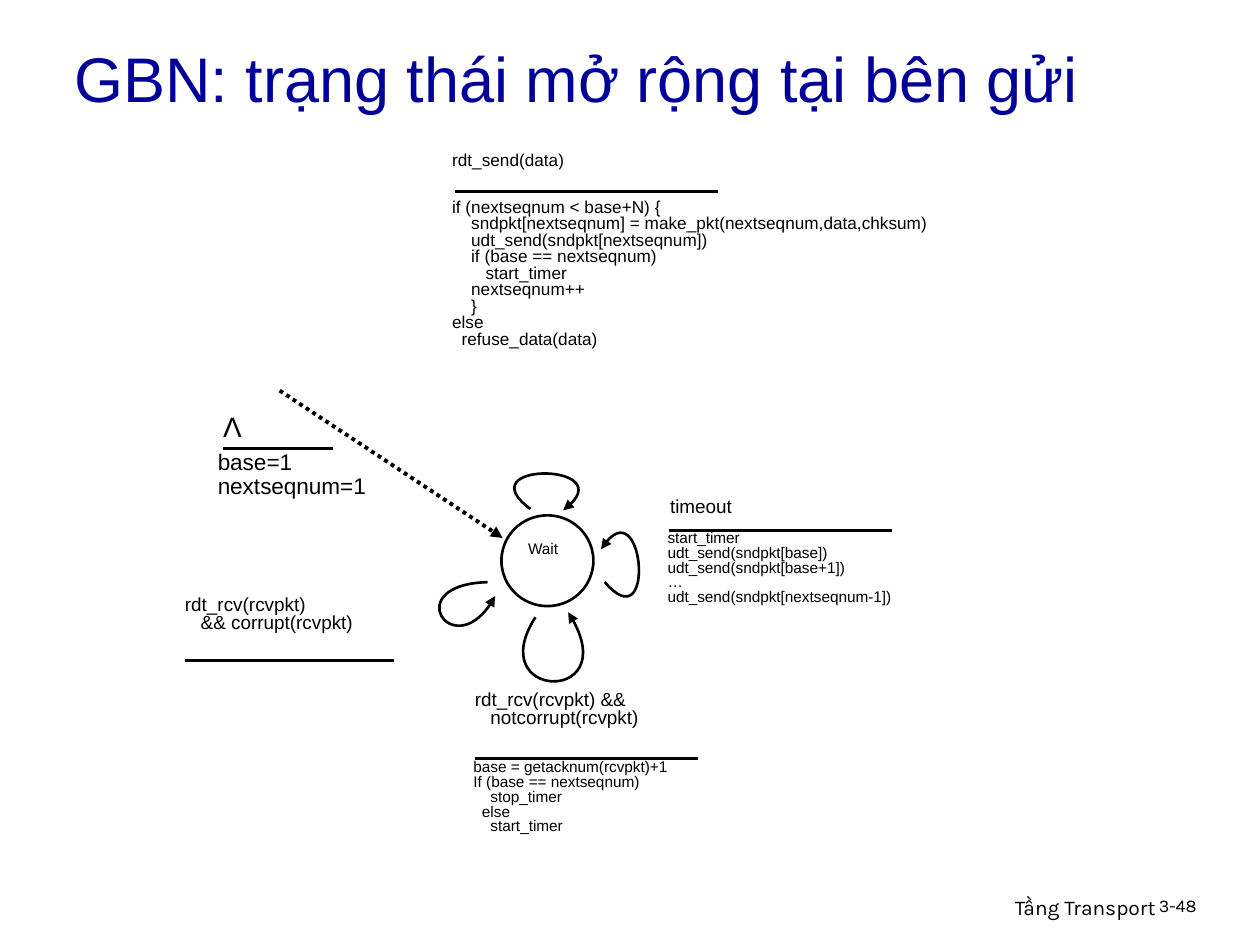
from lxml.etree import SubElement
from pptx import Presentation
from pptx.dml.color import RGBColor
from pptx.enum.dml import MSO_LINE
from pptx.enum.shapes import MSO_CONNECTOR, MSO_SHAPE
from pptx.enum.text import MSO_ANCHOR, MSO_AUTO_SIZE, PP_ALIGN
from pptx.oxml.ns import qn
from pptx.util import Inches, Pt

BLACK, WHITE, NAVY = "000000", "FFFFFF", "000099"


def color(hex_value):
    return RGBColor.from_string(hex_value)


def style_paragraph(paragraph, size, font="Arial", ink=BLACK,
                    align=PP_ALIGN.LEFT, spacing=None):
    paragraph.alignment = align
    paragraph.line_spacing = spacing
    paragraph.font.size = Pt(size)
    paragraph.font.name = font
    paragraph.font.color.rgb = color(ink)


def add_text(shapes, box, lines, size, spacing=0.8, wrap=True, **style):
    frame = shapes.add_textbox(*map(Inches, box)).text_frame
    frame.word_wrap = wrap
    frame.text = "\n".join(lines)
    for paragraph in frame.paragraphs:
        style_paragraph(paragraph, size, spacing=spacing, **style)


def style_line(line, width):
    line.color.rgb = color(BLACK)
    line.width = Pt(width)


def add_arrowhead(shape):
    outline = shape.line._get_or_add_ln()
    SubElement(outline, qn("a:tailEnd"), type="triangle")


def add_line(shapes, start, end, width):
    line = shapes.add_connector(MSO_CONNECTOR.STRAIGHT,
                                *map(Inches, (*start, *end)))
    style_line(line.line, width)
    SubElement(line._element.spPr, qn("a:effectLst"))
    return line


def add_loop(shapes, start, *curve):
    """Draw a self-transition: one Bezier curve (two controls, one end)."""
    builder = shapes.build_freeform(*map(Inches, start))
    builder.add_line_segments([tuple(map(Inches, point)) for point in curve],
                              close=False)
    loop = builder.convert_to_shape()
    # Turn the three straight segments into one cubic curve
    outline = next(loop._element.iter(qn("a:path")))
    segments = outline.findall(qn("a:lnTo"))
    bezier = SubElement(outline, qn("a:cubicBezTo"))
    for segment in segments:
        bezier.append(segment[0])
        outline.remove(segment)
    loop.shadow.inherit = False
    loop.fill.background()
    style_line(loop.line, 1.5)
    add_arrowhead(loop)


def add_title(slide, text):
    title = slide.shapes.title
    title.left, title.top, title.width, title.height = map(
        Inches, (0.49, 0.23, 8.5, 0.77))
    frame = title.text_frame
    frame.text = text
    frame.auto_size = MSO_AUTO_SIZE.NONE
    frame.vertical_anchor = MSO_ANCHOR.MIDDLE
    style_paragraph(frame.paragraphs[0], 36, ink=NAVY)


def add_wait_state(shapes):
    state = shapes.add_group_shape().shapes
    circle = state.add_shape(MSO_SHAPE.OVAL,
                             *map(Inches, (3.98, 4.09, 0.73, 0.72)))
    circle.shadow.inherit = False
    circle.fill.solid()
    circle.fill.fore_color.rgb = color(WHITE)
    style_line(circle.line, 1.5)
    add_text(state, (3.87, 4.26, 0.88, 0.26), ["Wait"], 8.8,
             align=PP_ALIGN.CENTER)


def main():
    prs = Presentation()
    prs.slide_width, prs.slide_height = Inches(10), Inches(7.5)
    slide = prs.slides.add_slide(prs.slide_layouts[5])
    shapes = slide.shapes

    # Title and footer
    add_title(slide, "GBN: trạng thái mở rộng tại bên gửi")
    add_text(shapes, (6.1, 7.05, 3.17, 0.31), ["Tầng Transport"], 12,
             spacing=None, font="Karla", align=PP_ALIGN.RIGHT)
    add_text(shapes, (9.1, 7.07, 0.74, 0.3), ["3-48"], 10.2,
             spacing=0.9, font="Karla")

    # State and initial transition
    add_wait_state(shapes)
    initial = add_line(shapes, (2.22, 3.1), (3.99, 4.27), 2.25)
    initial.line.dash_style = MSO_LINE.ROUND_DOT
    add_arrowhead(initial)
    add_text(shapes, (1.67, 3.2, 0.35, 0.37), ["Λ"], 16, spacing=None,
             wrap=False, align=PP_ALIGN.CENTER)
    add_line(shapes, (1.77, 3.56), (2.64, 3.56), 1.5)
    add_text(shapes, (1.63, 3.53, 1.62, 0.55), ["base=1", "nextseqnum=1"],
             12.9, spacing=0.9)

    # Data to send
    add_text(shapes, (3.49, 1.17, 2.55, 0.28), ["rdt_send(data)"], 9.8)
    add_line(shapes, (3.61, 1.52), (5.7, 1.52), 2.25)
    add_text(shapes, (3.49, 1.54, 6.04, 1.6), [
        "if (nextseqnum < base+N) {",
        "    sndpkt[nextseqnum] = make_pkt(nextseqnum,data,chksum)",
        "    udt_send(sndpkt[nextseqnum])",
        "    if (base == nextseqnum)",
        "       start_timer",
        "    nextseqnum++",
        "    }",
        "else",
        "  refuse_data(data)",
    ], 9.8)
    add_loop(shapes, (4.21, 4.04), (3.71, 3.67), (4.98, 3.67), (4.47, 4.05))

    # Timeout
    add_text(shapes, (5.22, 3.91, 1.2, 0.3), ["timeout"], 10.8)
    add_line(shapes, (5.31, 4.21), (7.08, 4.21), 1.5)
    add_text(shapes, (5.2, 4.17, 3.04, 0.91), [
        "start_timer",
        "udt_send(sndpkt[base])",
        "udt_send(sndpkt[base+1])",
        "…",
        "udt_send(sndpkt[nextseqnum-1])",
    ], 8.8)
    add_loop(shapes, (4.8, 4.62), (5.2, 5.09), (5.11, 3.83), (4.77, 4.36))

    # Intact acknowledgement received
    add_text(shapes, (3.67, 5.44, 3.1, 0.49),
             ["rdt_rcv(rcvpkt) &&", "   notcorrupt(rcvpkt)"], 10.8)
    add_line(shapes, (3.77, 6.02), (5.54, 6.02), 2.25)
    add_text(shapes, (3.66, 5.99, 4.03, 0.91), [
        "base = getacknum(rcvpkt)+1",
        "If (base == nextseqnum)",
        "    stop_timer",
        "  else",
        "    start_timer",
    ], 8.8)
    add_loop(shapes, (4.25, 4.9), (3.83, 5.55), (4.99, 5.6), (4.51, 4.86))

    # Corrupt packet received
    add_text(shapes, (1.37, 4.69, 2.24, 0.49),
             ["rdt_rcv(rcvpkt)", "   && corrupt(rcvpkt)"], 10.8)
    add_line(shapes, (1.47, 5.24), (3.13, 5.24), 1.5)
    add_loop(shapes, (3.87, 4.62), (3.17, 4.64), (3.62, 5.31), (3.93, 4.73))

    prs.save("out.pptx")


if __name__ == "__main__":
    main()
